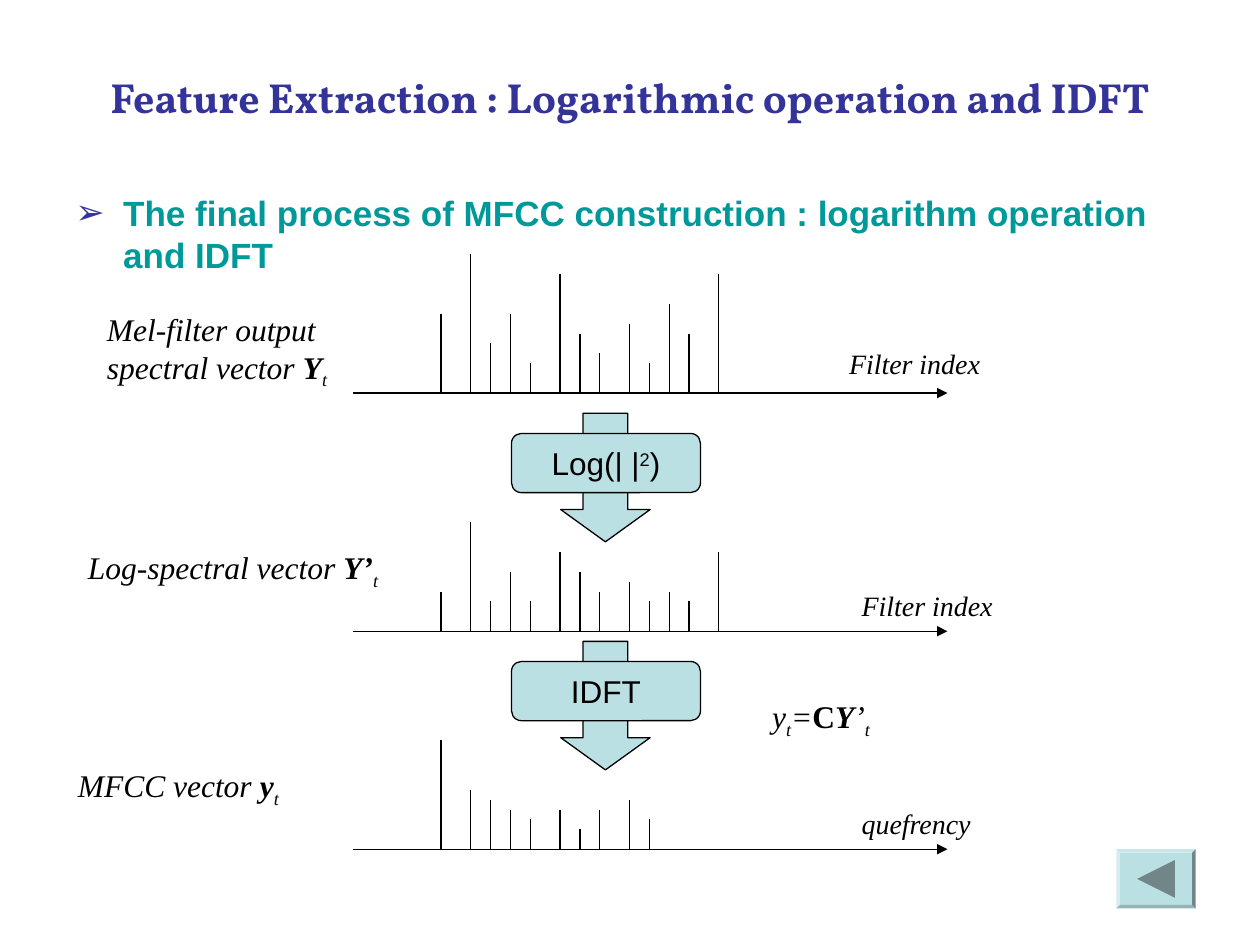
from dataclasses import dataclass
from lxml.etree import SubElement
from pptx import Presentation
from pptx.dml.color import RGBColor
from pptx.enum.shapes import MSO_CONNECTOR, MSO_SHAPE
from pptx.enum.text import MSO_ANCHOR, PP_ALIGN
from pptx.oxml.ns import qn
from pptx.util import Inches, Pt


@dataclass(frozen=True)
class Theme:
    navy: str = "333399"
    teal: str = "009999"
    ink: str = "000000"
    pale: str = "BBE0E3"
    gray: str = "708688"
    head: str = "Vollkorn"
    sans: str = "Arial"
    serif: str = "Times New Roman"
    title: int = 24
    body: int = 20
    label: int = 18
    axis: int = 16
    line: float = 0.75


THEME = Theme()
UNIT = Inches(0.63) / 8
TICKS = (0, 3, 5, 7, 9, 12, 14, 16, 19, 21, 23, 25, 28)


def color(code):
    return RGBColor.from_string(code)


def write(para, parts, size, face, tint=THEME.ink):
    for text, style, base in parts:
        if text == "\v":
            para.add_line_break()
            continue
        run = para.add_run()
        run.text = text
        font = run.font
        font.name, font.size = face, Pt(size)
        font.bold, font.italic = "b" in style, "i" in style
        font.color.rgb = color(tint)
        if base:
            run._r.get_or_add_rPr().set("baseline", str(base * 1000))


def add_text(slide, box, parts, size, face=THEME.serif, tint=THEME.ink):
    frame = slide.shapes.add_textbox(*map(Inches, box)).text_frame
    frame.word_wrap = True
    write(frame.paragraphs[0], parts, size, face, tint)
    return frame


def add_title(slide, box, text):
    frame = add_text(slide, box, [(text, "b", 0)], THEME.title, THEME.head, THEME.navy)
    frame.vertical_anchor = MSO_ANCHOR.MIDDLE
    frame.paragraphs[0].alignment = PP_ALIGN.CENTER


def add_body(slide, box, text):
    frame = add_text(slide, box, [(text, "b", 0)], THEME.body, THEME.sans, THEME.teal)
    props = frame.paragraphs[0]._p.get_or_add_pPr()
    props.set("marL", str(Inches(0.38)))
    props.set("indent", str(-Inches(0.38)))
    tint = SubElement(props, qn("a:buClr"))
    SubElement(tint, qn("a:srgbClr"), val=THEME.navy)
    SubElement(props, qn("a:buFont"), typeface=THEME.sans)
    SubElement(props, qn("a:buChar"), char="➢")


def add_line(slide, start, end, arrow=False):
    link = slide.shapes.add_connector(
        MSO_CONNECTOR.STRAIGHT, *(round(n) for n in (*start, *end)))
    link.line.color.rgb = color(THEME.ink)
    link.line.width = Pt(THEME.line)
    if arrow:
        SubElement(link.line._get_or_add_ln(), qn("a:tailEnd"), type="triangle")
    SubElement(link._element.spPr, qn("a:effectLst"))


def add_plot(slide, left, base, width, bars):
    left, base = Inches(left), Inches(base)
    add_line(slide, (left, base), (left + Inches(width), base), True)
    for tick, size in zip(TICKS, bars):
        across = left + Inches(0.7) + tick * UNIT
        add_line(slide, (across, base), (across, base - size * UNIT))


def add_block(slide, kind, box, fill=THEME.pale, edge=True):
    shape = slide.shapes.add_shape(kind, *map(Inches, box))
    shape.shadow.inherit = False
    shape.fill.solid()
    shape.fill.fore_color.rgb = color(fill)
    if edge:
        shape.line.color.rgb = color(THEME.ink)
        shape.line.width = Pt(THEME.line)
    else:
        shape.line.fill.background()
    return shape


def add_step(slide, left, top, parts):
    arrow = add_block(slide, MSO_SHAPE.DOWN_ARROW, (left + 0.39, top, 0.71, 1.02))
    arrow.adjustments[1] = 0.36
    card = add_block(slide, MSO_SHAPE.ROUNDED_RECTANGLE, (left, top + 0.16, 1.5, 0.47))
    frame = card.text_frame
    frame.word_wrap = False
    frame.vertical_anchor = MSO_ANCHOR.MIDDLE
    para = frame.paragraphs[0]
    para.alignment = PP_ALIGN.CENTER
    write(para, parts, THEME.label, THEME.sans)


def add_button(slide, left, top, width, height):
    face = add_block(slide, MSO_SHAPE.BEVEL, (left, top, width, height), edge=False)
    face.adjustments[0] = 0.06
    side = 0.3
    mark = add_block(
        slide, MSO_SHAPE.ISOSCELES_TRIANGLE,
        (left + (width - side) / 2, top + (height - side) / 2, side, side),
        THEME.gray, False)
    mark.rotation = 270


def main():
    deck = Presentation()
    deck.slide_width, deck.slide_height = Inches(10), Inches(7.5)
    slide = deck.slides.add_slide(deck.slide_layouts[6])
    add_title(slide, (0.5, 0.3, 9, 0.93),
              "Feature Extraction : Logarithmic operation and IDFT")
    add_body(slide, (0.5, 1.47, 9, 5.23),
             "The final process of MFCC construction : logarithm operation and IDFT")

    plots = (
        (3.12, (8, 14, 5, 8, 3, 12, 6, 4, 7, 3, 9, 6, 12)),
        (5.01, (4, 11, 3, 6, 3, 8, 6, 4, 5, 3, 4, 3, 8)),
        (6.74, (11, 6, 5, 4, 3, 4, 2, 4, 5, 3)),
    )
    for base, bars in plots:
        add_plot(slide, 2.8, base, 4.72, bars)

    add_step(slide, 4.06, 3.28, [("Log(| |", "", 0), ("2", "", 30), (")", "", 0)])
    add_step(slide, 4.06, 5.09, [("IDFT", "", 0)])

    sub = ("t", "i", -25)
    labels = (
        ((0.75, 2.41, 2.05, 0.74),
         [("Mel-filter output", "i", 0), ("\v", "", 0),
          ("spectral vector ", "i", 0), ("Y", "bi", 0), sub]),
        ((0.6, 4.3, 2.6, 0.44),
         [("Log-spectral vector ", "i", 0), ("Y’", "bi", 0), sub]),
        ((0.52, 6.03, 1.9, 0.44),
         [("MFCC vector ", "i", 0), ("y", "bi", 0), sub]),
        ((6.03, 5.48, 1.1, 0.44),
         [("y", "i", 0), sub, ("=", "i", 0), ("C", "b", 0),
          ("Y", "bi", 0), ("’", "i", 0), sub]),
    )
    for box, parts in labels:
        add_text(slide, box, parts, THEME.label)

    names = (
        ((6.64, 2.7, 1.35, 0.37), "Filter index"),
        ((6.74, 4.62, 1.35, 0.37), "Filter index"),
        ((6.74, 6.35, 1.2, 0.37), "quefrency"),
    )
    for box, name in names:
        add_text(slide, box, [(name, "i", 0)], THEME.axis)

    add_button(slide, 8.86, 6.74, 0.63, 0.47)
    deck.save("out.pptx")


if __name__ == "__main__":
    main()
